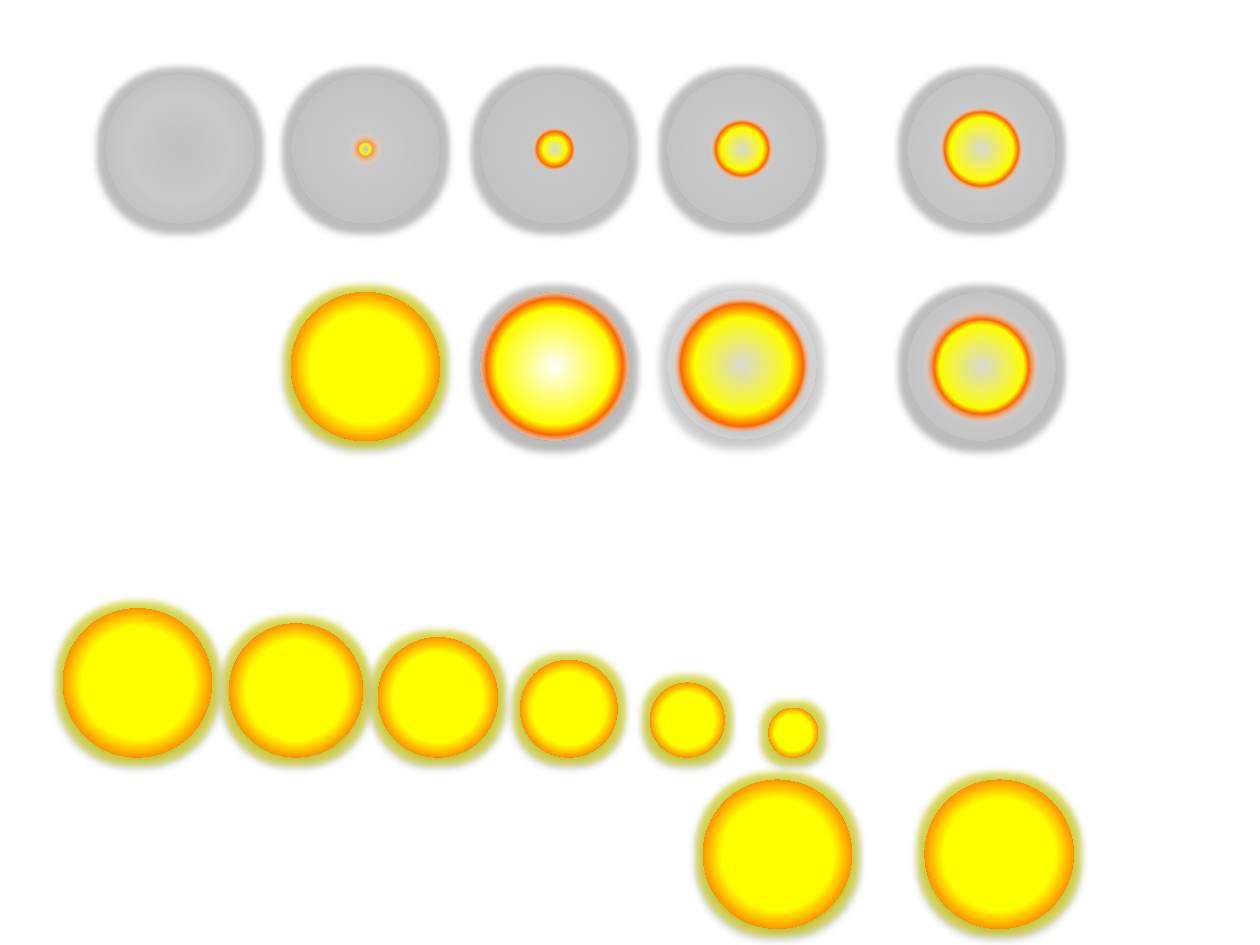
"""Build a slide of glowing circles that light up, shine and shrink."""
from dataclasses import dataclass

from lxml.etree import SubElement
from pptx import Presentation
from pptx.dml.color import RGBColor
from pptx.enum.shapes import MSO_SHAPE
from pptx.oxml.ns import qn
from pptx.slide import Slide
from pptx.util import Inches, Pt

SILVER = RGBColor(0xD9, 0xD9, 0xD9)
WHITE = RGBColor(0xFF, 0xFF, 0xFF)
YELLOW = RGBColor(0xFF, 0xFF, 0x00)
ORANGE = RGBColor(0xFF, 0x66, 0x00)
AMBER = RGBColor(0xF7, 0x96, 0x46)
GRAY_GLOW = RGBColor(0xBF, 0xBF, 0xBF)
YELLOW_GLOW = RGBColor(0xD9, 0xD9, 0x00)
BLACK = RGBColor(0x00, 0x00, 0x00)

DIAMETER = 1.18
LAMP_TOP, GLOW_TOP = 0.59, 2.32
SUN_BASELINE, LARGE_SUN_TOP = 6.01, 6.19


@dataclass(frozen=True)
class Stop:
    position: int
    color: RGBColor
    opacity: int = 100


@dataclass(frozen=True)
class Orb:
    left: float
    top: float
    stops: tuple[Stop, ...]
    diameter: float = DIAMETER
    glow: RGBColor = GRAY_GLOW
    glow_opacity: int = 80


def lamp(left: float, top: float, core: tuple[Stop, ...], rim: int, edge: int,
         glow_opacity: int = 80) -> Orb:
    """Return a translucent lamp with a lit core."""
    shell = (Stop(83, SILVER, rim), Stop(100, WHITE, edge))
    return Orb(left, top, core + shell, glow_opacity=glow_opacity)


def lit_core(yellow: int, orange: int, fade: int, opacity: int) -> tuple[Stop, ...]:
    """Return the stops of a core that burns from silver to orange."""
    return (Stop(0, SILVER), Stop(yellow, YELLOW), Stop(orange, ORANGE),
            Stop(fade, WHITE, opacity))


def sun(left: float, top: float, diameter: float = DIAMETER) -> Orb:
    """Return a fully lit circle with a yellow glow."""
    return Orb(left, top, (Stop(53, YELLOW), Stop(79, ORANGE)), diameter, YELLOW_GLOW, 60)


def add_color(parent, color: RGBColor, opacity: int) -> None:
    """Append a colour with its opacity in percent."""
    tint = SubElement(parent, qn("a:srgbClr"), val=str(color))
    if opacity < 100:
        SubElement(tint, qn("a:alpha"), val=str(opacity * 1000))


def fill_radially(properties, stops: tuple[Stop, ...]) -> None:
    """Fill a shape from its centre outwards."""
    gradient = SubElement(properties, qn("a:gradFill"), rotWithShape="1")
    stop_list = SubElement(gradient, qn("a:gsLst"))
    for stop in stops:
        entry = SubElement(stop_list, qn("a:gs"), pos=str(stop.position * 1000))
        add_color(entry, stop.color, stop.opacity)
    circle = SubElement(gradient, qn("a:path"), path="circle")
    SubElement(circle, qn("a:fillToRect"), l="50000", t="50000", r="50000", b="50000")
    properties.insert(2, gradient)


def add_orb(slide: Slide, orb: Orb) -> None:
    """Draw one circle with its gradient, glow and shadow."""
    size = Inches(orb.diameter)
    circle = slide.shapes.add_shape(
        MSO_SHAPE.OVAL, Inches(orb.left), Inches(orb.top), size, size)
    circle.line.fill.background()
    circle.shadow.inherit = False
    properties = circle.element.spPr
    fill_radially(properties, orb.stops)
    effects = properties.find(qn("a:effectLst"))
    glow = SubElement(effects, qn("a:glow"), rad=str(Pt(8)))
    add_color(glow, orb.glow, orb.glow_opacity)
    shadow = SubElement(effects, qn("a:outerShdw"), blurRad=str(Pt(3.1)),
                        dist=str(Pt(1.8)), dir="5400000", rotWithShape="0")
    add_color(shadow, BLACK, 35)


UNLIT = (Stop(0, SILVER, 19), Stop(48, WHITE, 22))
SPARK = (Stop(0, SILVER, 20), Stop(5, YELLOW), Stop(7, AMBER), Stop(16, WHITE, 21))
BLAZE = (Stop(0, WHITE), Stop(55, YELLOW), Stop(65, ORANGE),
         Stop(75, WHITE, 20), Stop(100, WHITE, 20))
SHRINKING_SUNS = ((0.5, 1.18), (1.82, 1.06), (3, 0.95), (4.13, 0.77), (5.16, 0.59), (6.1, 0.39))

ORBS = (
    lamp(0.84, LAMP_TOP, UNLIT, 13, 19),
    lamp(2.31, LAMP_TOP, SPARK, 18, 20),
    lamp(3.81, LAMP_TOP, lit_core(11, 17, 21, 19), 18, 20),
    sun(2.31, GLOW_TOP),
    lamp(5.3, LAMP_TOP, lit_core(20, 25, 30, 20), 20, 21),
    lamp(7.2, LAMP_TOP, lit_core(30, 35, 40, 22), 20, 19),
    lamp(7.2, GLOW_TOP, lit_core(40, 45, 55, 19), 18, 20),
    lamp(5.3, 2.31, lit_core(45, 58, 65, 21), 20, 21, glow_opacity=40),
    Orb(3.81, GLOW_TOP, BLAZE),
    *(sun(left, SUN_BASELINE - diameter, diameter) for left, diameter in SHRINKING_SUNS),
    sun(7.34, LARGE_SUN_TOP),
    sun(5.58, LARGE_SUN_TOP),
)


def main() -> None:
    """Build and save the presentation."""
    presentation = Presentation()
    presentation.slide_width, presentation.slide_height = Inches(10), Inches(7.5)
    slide = presentation.slides.add_slide(presentation.slide_layouts[6])
    for orb in ORBS:
        add_orb(slide, orb)
    presentation.save("out.pptx")


if __name__ == "__main__":
    main()
